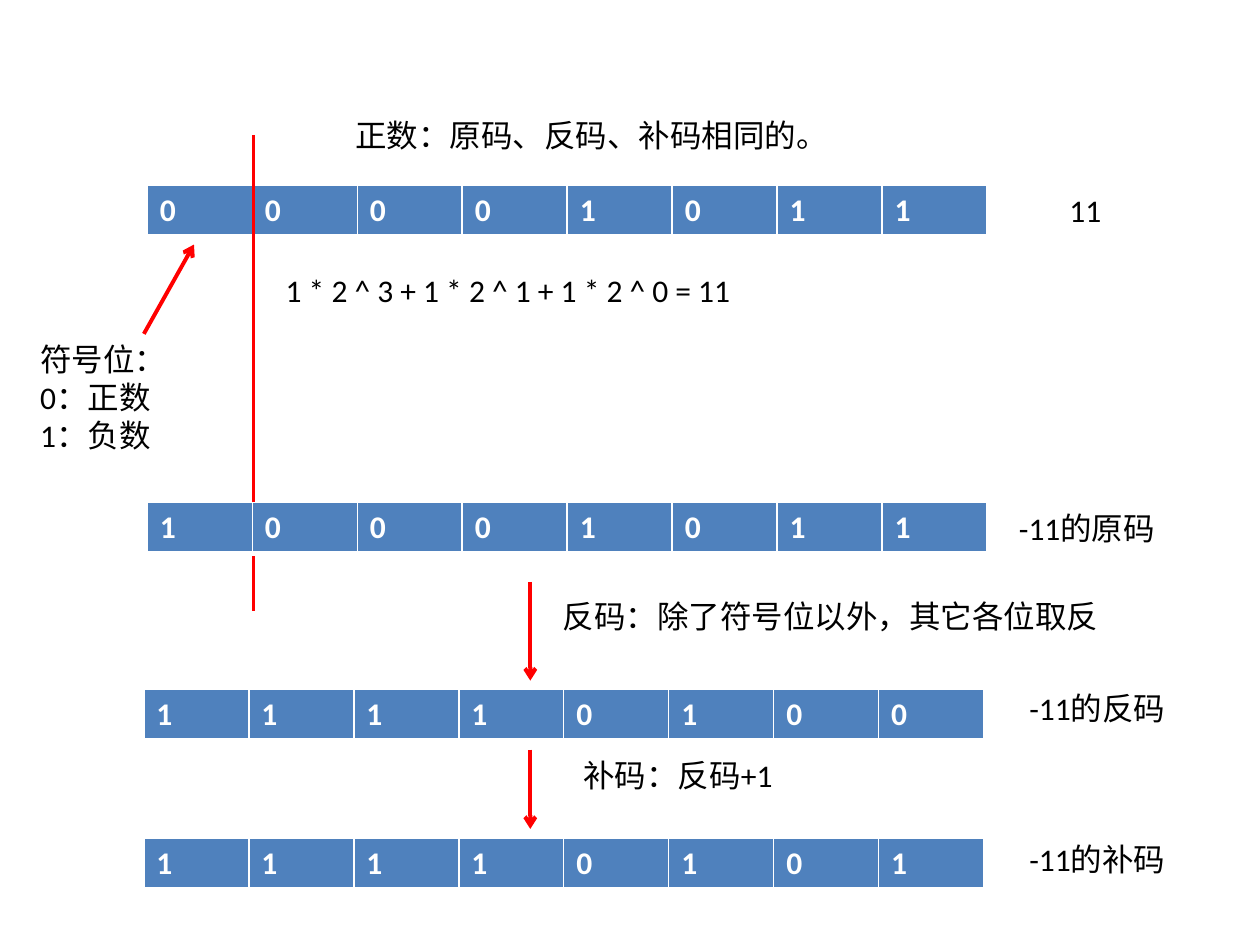
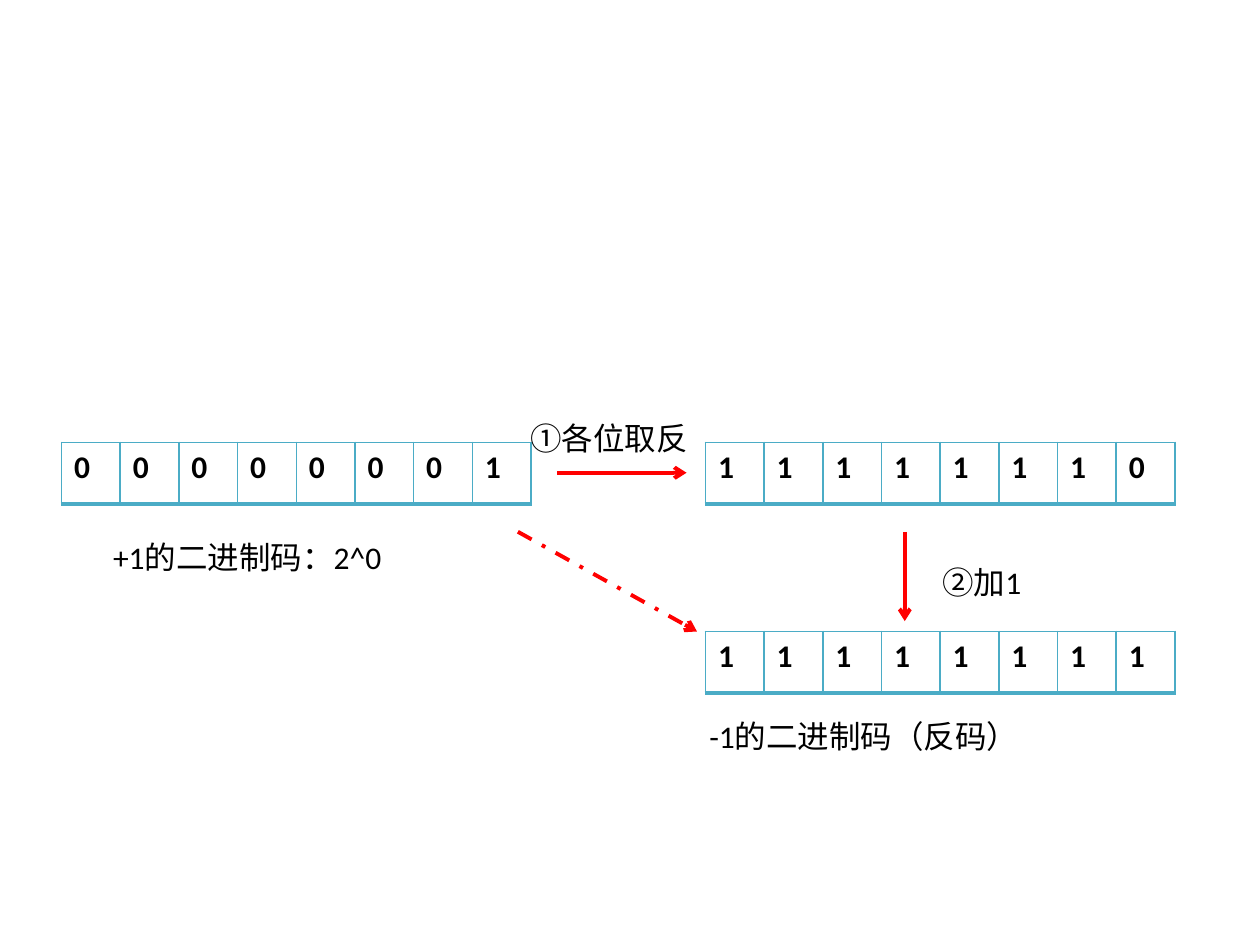
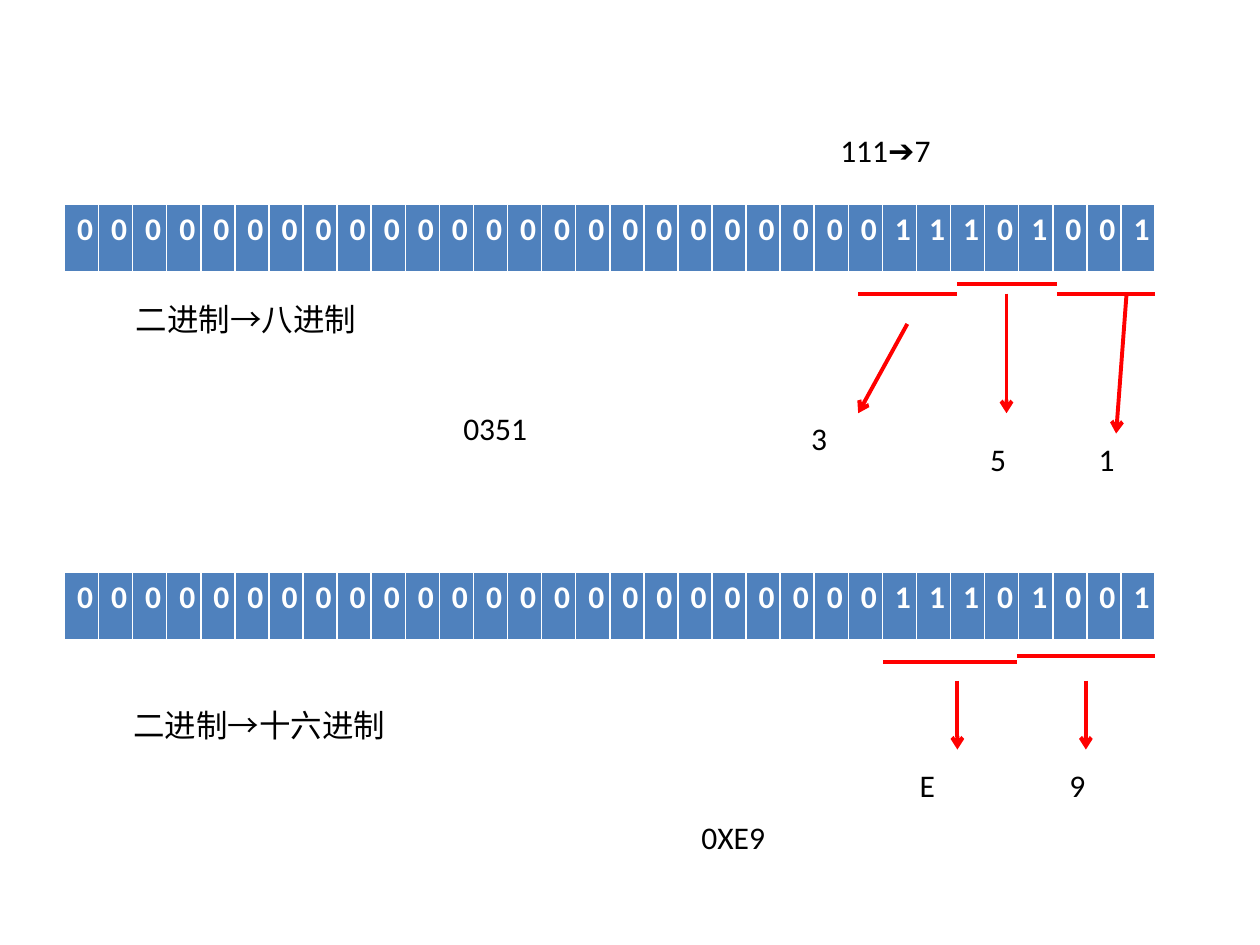
from lxml.etree import SubElement
from pptx import Presentation
from pptx.dml.color import RGBColor
from pptx.enum.dml import MSO_LINE
from pptx.enum.shapes import MSO_CONNECTOR
from pptx.oxml.ns import qn
from pptx.util import Cm, Pt

FONT, SIZE = "Calibri", 18
BLACK, WHITE, RED = "000000", "FFFFFF", "FF0000"
BLUE, TEAL = "4F81BD", "4BACC6"

# Kind of bit row: width, height, fill, text colour, border colour, bottom border
ROWS = {
    "byte": (16.93, 1.03, BLUE, WHITE, WHITE, 3),
    "plain": (9.47, 1.24, None, BLACK, TEAL, 2),
    "word": (22, 1.4, BLUE, WHITE, WHITE, 3),
}
WORD = "11101001".zfill(32)

# Items run from back to front, in centimetres:
#   row kind, bits, left, top
#   "text", wording, left, top, width
#   "line" / "arrow" / "dashed", x1, y1, x2, y2
CODES = [
    ("byte", "00001011", 2.97, 3.73),
    ("line", 5.11, 2.72, 5.11, 12.32),
    ("arrow", 2.9, 6.73, 3.91, 4.93),
    ("text", "符号位：\n0：正数\n1：负数", 0.56, 6.73, 3.33),
    ("text", "11", 21.31, 3.73, 1.8),
    ("text", "1 * 2 ^ 3 + 1 * 2 ^ 1 + 1 * 2 ^ 0 = 11", 5.51, 5.33, 14.81),
    ("text", "正数：原码、反码、补码相同的。", 6.91, 2.21, 11.2),
    ("byte", "10001011", 2.97, 10.13),
    ("text", "-11的原码", 20.29, 10.13, 3.4),
    ("arrow", 10.69, 11.73, 10.69, 13.72),
    ("text", "反码：除了符号位以外，其它各位取反", 11.1, 11.91, 11.99),
    ("byte", "11110100", 2.9, 13.89),
    ("text", "-11的反码", 20.5, 13.77, 3.4),
    ("arrow", 10.69, 15.11, 10.69, 16.71),
    ("text", "补码：反码+1", 11.51, 15.11, 8.79),
    ("byte", "11110101", 2.9, 16.89),
    ("text", "-11的补码", 20.5, 16.81, 3.4),
]
NEGATE = [
    ("plain", "00000001", 1.24, 8.92),
    ("plain", "11111110", 14.22, 8.92),
    ("arrow", 11.23, 9.53, 13.84, 9.53),
    ("text", "①各位取反", 10.44, 8.33, 3.99),
    ("text", "+1的二进制码：2^0", 2.03, 10.72, 7.8),
    ("plain", "11111111", 14.22, 12.73),
    ("dashed", 10.44, 10.72, 14.05, 12.73),
    ("text", "-1的二进制码（反码）", 14.05, 14.33, 9.4),
    ("arrow", 18.24, 10.72, 18.24, 12.52),
    ("text", "②加1", 18.75, 11.23, 3.1),
]
BASES = [
    ("word", WORD, 1.3, 4.11),
    ("line", 21.31, 5.92, 23.29, 5.92),
    ("arrow", 22.71, 5.92, 22.5, 8.74),
    ("text", "1", 21.9, 8.74, 1.4),
    ("line", 19.3, 5.72, 21.31, 5.72),
    ("arrow", 20.29, 5.92, 20.29, 8.33),
    ("text", "5", 19.71, 8.74, 1.6),
    ("line", 17.3, 5.92, 19.3, 5.92),
    ("arrow", 18.29, 6.53, 17.3, 8.33),
    ("text", "3", 16.1, 8.33, 2.59),
    ("word", WORD, 1.3, 11.53),
    ("line", 20.5, 13.23, 23.29, 13.23),
    ("arrow", 21.89, 13.72, 21.89, 15.11),
    ("text", "9", 21.31, 15.32, 2.01),
    ("line", 17.81, 13.34, 20.5, 13.34),
    ("arrow", 19.3, 13.72, 19.3, 15.11),
    ("text", "E", 18.29, 15.32, 2.01),
    ("text", "0XE9", 13.89, 16.36, 3.91),
    ("text", "0351", 9.09, 8.13, 3.4),
    ("text", "二进制→八进制", 2.49, 5.92, 8.79),
    ("text", "二进制→十六进制", 2.44, 14.1, 8.79),
    ("text", "111➔7", 16.69, 2.51, 4.19),
]


def rgb(code):
    return RGBColor.from_string(code)


def style(frame, color, bold=False):
    for para in frame.paragraphs:
        for run in para.runs:
            font = run.font
            font.name, font.size, font.bold = FONT, Pt(SIZE), bold
            font.color.rgb = rgb(color)


def add_text(slide, words, x, y, w):
    high = 0.25 + 0.77 * len(words.split("\n"))
    frame = slide.shapes.add_textbox(Cm(x), Cm(y), Cm(w), Cm(high)).text_frame
    frame.word_wrap = True
    frame.text = words
    style(frame, BLACK)


def add_line(slide, kind, x1, y1, x2, y2):
    link = slide.shapes.add_connector(
        MSO_CONNECTOR.STRAIGHT, Cm(x1), Cm(y1), Cm(x2), Cm(y2))
    link.line.color.rgb = rgb(RED)
    link.line.width = Pt(2.25)
    if kind == "dashed":
        link.line.dash_style = MSO_LINE.DASH_DOT
    props = link._element.spPr
    if kind != "line":
        SubElement(props.find(qn("a:ln")), qn("a:tailEnd"), type="arrow")
    SubElement(props, qn("a:effectLst"))


def add_border(cell, color, base):
    """Edge a cell with 1 pt lines and a bottom line of base points."""
    props = cell._tc.get_or_add_tcPr()
    for side, width in zip("LRTB", (1, 1, 1, base)):
        edge = SubElement(props, qn("a:ln" + side), w=str(Pt(width)))
        fill = SubElement(edge, qn("a:solidFill"))
        SubElement(fill, qn("a:srgbClr"), val=color)


def add_bits(slide, kind, bits, x, y):
    w, h, fill, ink, edge, base = ROWS[kind]
    table = slide.shapes.add_table(
        1, len(bits), Cm(x), Cm(y), Cm(w), Cm(h)).table
    table.first_row = table.horz_banding = False
    for col, cell, bit in zip(table.columns, table.rows[0].cells, bits):
        col.width = Cm(w / len(bits))
        cell.text = bit
        style(cell.text_frame, ink, bold=True)
        add_border(cell, edge, base)
        if fill:
            cell.fill.solid()
            cell.fill.fore_color.rgb = rgb(fill)
        else:
            cell.fill.background()


def main():
    deck = Presentation()
    deck.slide_width, deck.slide_height = Cm(25.4), Cm(19.05)
    for items in (CODES, NEGATE, BASES):
        slide = deck.slides.add_slide(deck.slide_layouts[6])
        for kind, *args in items:
            if kind in ROWS:
                add_bits(slide, kind, *args)
            elif kind == "text":
                add_text(slide, *args)
            else:
                add_line(slide, kind, *args)
    deck.save("out.pptx")


if __name__ == "__main__":
    main()
